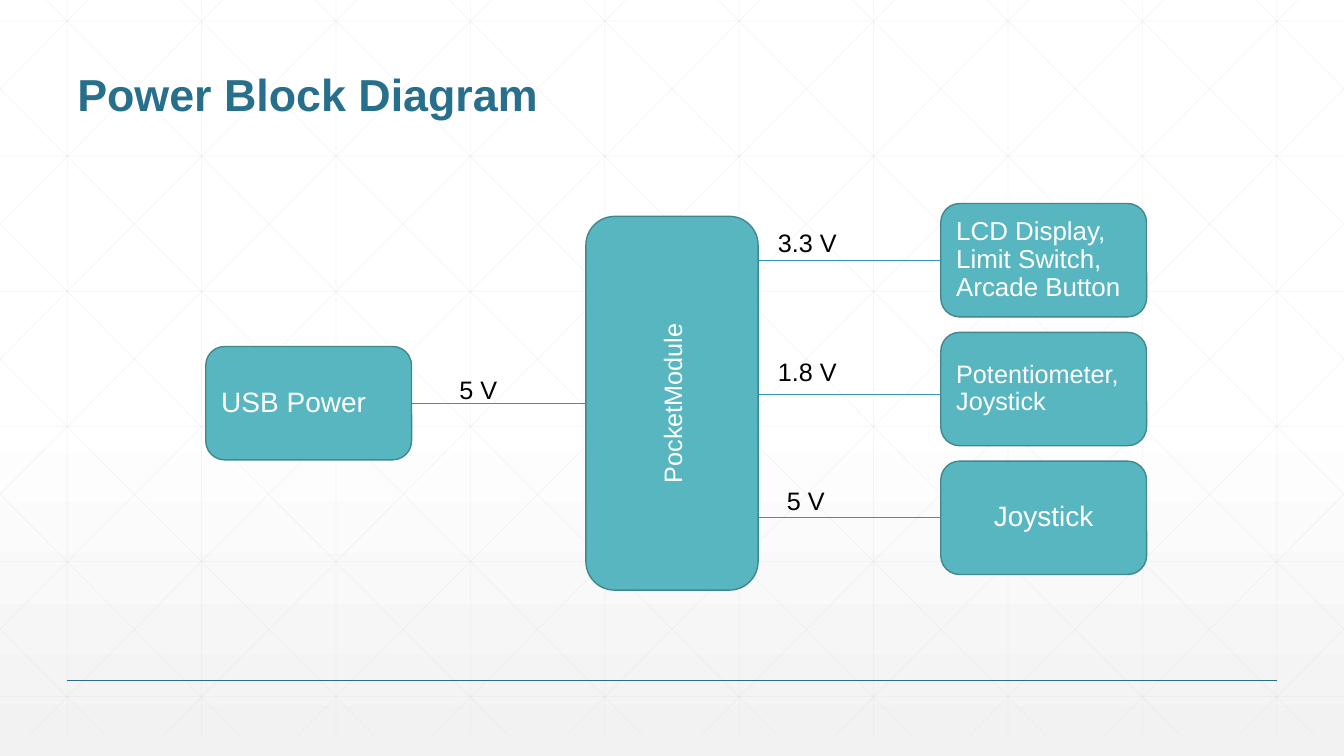
from copy import deepcopy

from lxml.etree import SubElement as Sub
from pptx import Presentation
from pptx.dml.color import RGBColor as RGB
from pptx.enum.shapes import MSO_CONNECTOR as Conn, MSO_SHAPE as Form
from pptx.enum.text import MSO_ANCHOR as Anchor, MSO_AUTO_SIZE as Fit, PP_ALIGN as Align
from pptx.oxml.ns import qn
from pptx.util import Pt

HUES = {
    "white": "FFFFFF", "fade": "F2F2F2", "grid": "D9D9D9", "title": "276F8B",
    "fill": "58B6C0", "edge": "41878E", "wire": "3494BA", "ink": "000000",
}
WIDE, HIGH = 960, 540


def hue(name):
    """Return the named colour."""
    return RGB.from_string(HUES[name])


def write(shape, text, size=18, color="ink", bold=False, align=Align.LEFT,
          anchor=Anchor.TOP, lead=None, gap=None, fit=Fit.NONE):
    """Fill a shape with one formatted paragraph."""
    frame = shape.text_frame
    frame.word_wrap = True
    frame.auto_size = fit
    frame.vertical_anchor = anchor
    para = frame.paragraphs[0]
    para.alignment = align
    para.line_spacing = lead
    para.space_before = None if gap is None else Pt(gap)
    run = para.add_run()
    run.text = text
    font = run.font
    font.name, font.size, font.bold = "Arial", Pt(size), bold
    font.color.rgb = hue(color)


def line(shapes, x1, y1, x2, y2, color="wire", width=0.5, alpha=None):
    """Draw a straight line without shadow."""
    item = shapes.add_connector(Conn.STRAIGHT, Pt(x1), Pt(y1), Pt(x2), Pt(y2))
    item.line.color.rgb = hue(color)
    item.line.width = Pt(width)
    props = item.element.spPr
    if alpha:
        Sub(props.find(".//" + qn("a:srgbClr")), qn("a:alpha"), val=str(alpha * 1000))
    Sub(props, qn("a:effectLst"))


def block(slide, x, y, w, h, text, turn=0, **style):
    """Draw a rounded block with its name."""
    item = slide.shapes.add_shape(Form.ROUNDED_RECTANGLE, Pt(x), Pt(y), Pt(w), Pt(h))
    item.rotation = turn
    item.shadow.inherit = False
    item.fill.solid()
    item.fill.fore_color.rgb = hue("fill")
    item.line.color.rgb = hue("edge")
    item.line.width = Pt(1)
    write(item, text, color="white", anchor=Anchor.MIDDLE, **style)


def label(slide, x, y, text):
    """Place a voltage label."""
    item = slide.shapes.add_textbox(Pt(x), Pt(y), Pt(90), Pt(30))
    write(item, text, fit=Fit.SHAPE_TO_FIT_TEXT)


def shade(slide):
    """Set the vertical background gradient."""
    fill = slide.background.fill
    fill.gradient()
    fill.gradient_angle = 270
    first, last = fill.gradient_stops
    first.color.rgb, last.color.rgb = hue("white"), hue("fade")
    first.position, last.position = 0, 1
    stops = slide.element.find(".//" + qn("a:gsLst"))
    stops.insert(1, deepcopy(stops[0]))
    fill.gradient_stops[1].position = 0.53


def grid(slide, x, y, w, h):
    """Draw the faint square and diagonal grid in a box."""
    group = slide.shapes.add_group_shape()
    slide.shapes.title.element.addprevious(group.element)
    step, end, run = 96, y + h, 537
    rows = [(x, 15 + 96.5 * i, x + w, 15 + 96.5 * i) for i in range(6)]
    cols = [(x + 48 + step * i, y, x + 48 + step * i, end) for i in range(10)]
    slants = []
    for i in range(-5, 10):
        start = 18 + step * i
        left, right = max(0, start), min(w, start + run)
        top, low = (y + (at - start) * h / run for at in (left, right))
        slants += [(x + left, top, x + right, low),
                   (x + w - left, top, x + w - right, low)]
    for ends in cols + rows + slants:
        line(group.shapes, *ends, color="grid", alpha=25)


def head(slide, x, y, w, h, text):
    """Place the title in a box."""
    item = slide.shapes.title
    item.left, item.top, item.width, item.height = Pt(x), Pt(y), Pt(w), Pt(h)
    write(item, text, size=32, color="title", bold=True, anchor=Anchor.BOTTOM, lead=0.9)


def scheme(slide, x, y, w, h):
    """Draw source, board and loads with their wires in a box."""
    wide, high, pitch = 147, 81, 92
    near, far, right = x + 271.5, x + 394.5, x + w - wide
    mid = y + 142.6
    long, deep = 267, far - near
    style = {"lead": 0.9, "gap": 18}
    block(slide, (near + far - long) / 2, mid - deep / 2, long, deep,
          "PocketModule", turn=270, align=Align.CENTER)
    block(slide, x, mid - high / 2, wide, high, "USB Power", size=20, **style)
    line(slide.shapes, x + wide, mid, near, mid)
    label(slide, x + 174, mid - 24.5, "5 V")
    loads = [
        ("LCD Display, Limit Switch, Arcade Button", 18.5, Align.LEFT, "3.3 V", 7, 40.5),
        ("Potentiometer, Joystick", 18, Align.LEFT, "1.8 V", 7, 44),
        ("Joystick", 20, Align.CENTER, "5 V", 13.5, 40.5),
    ]
    for i, (name, size, align, volts, shift, drop) in enumerate(loads):
        top = y + i * pitch
        block(slide, right, top, wide, high, name, size=size, align=align, **style)
        line(slide.shapes, far, top + drop, right, top + drop)
        label(slide, far + shift, top + 13.5, volts)


def main():
    """Build and save the slide."""
    deck = Presentation()
    deck.slide_width, deck.slide_height = Pt(WIDE), Pt(HIGH)
    slide = deck.slides.add_slide(deck.slide_layouts[5])
    shade(slide)
    grid(slide, 0, -15, WIDE, HIGH)
    line(slide.shapes, 48, 486, WIDE - 48, 486, color="title", width=1)
    head(slide, 48, 18, WIDE - 96, 72, "Power Block Diagram")
    scheme(slide, 147, 145.4, 672, 265)
    deck.save("out.pptx")


if __name__ == "__main__":
    main()
